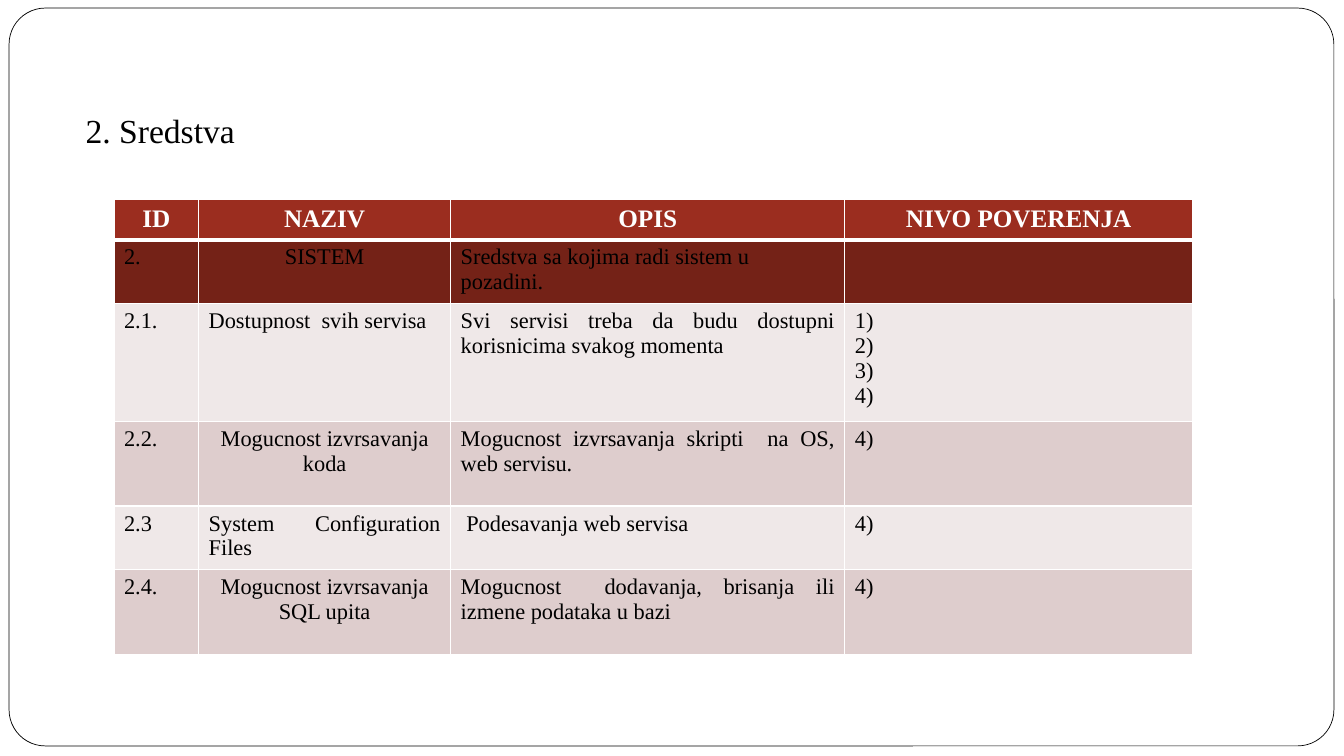
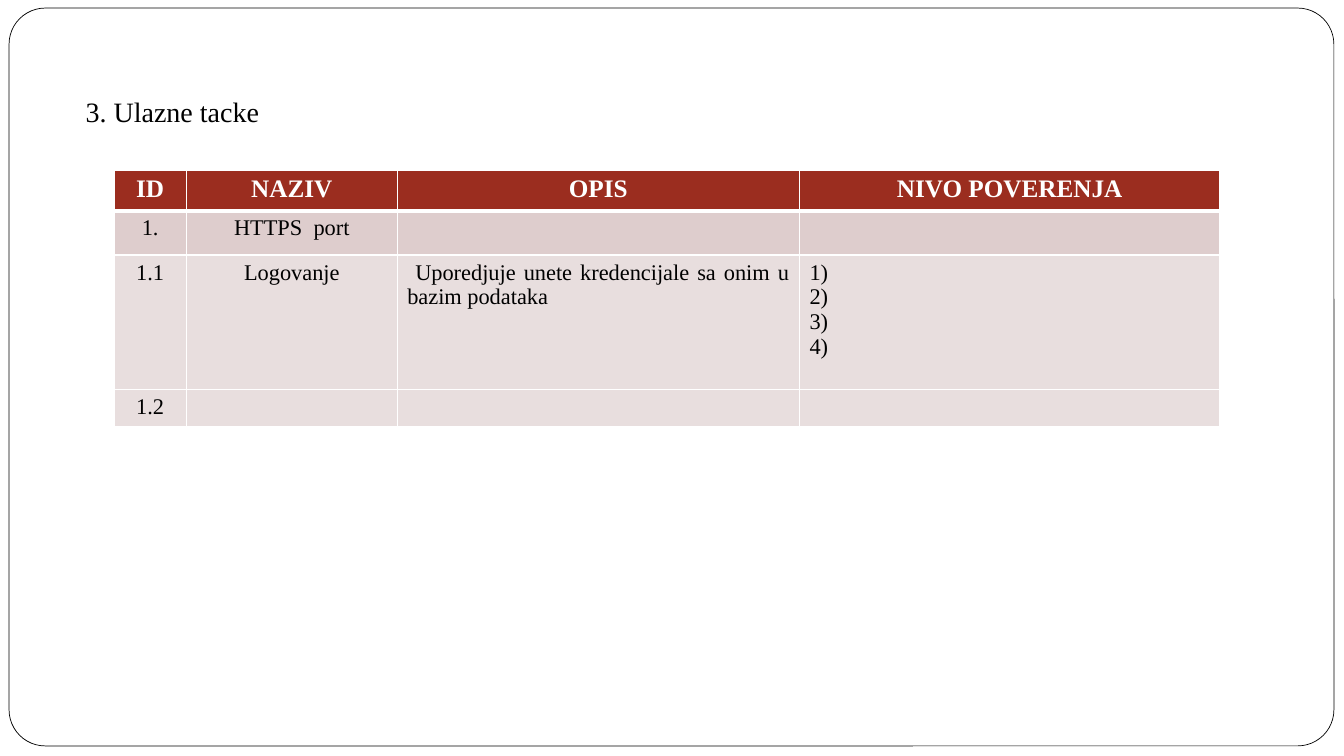
from lxml import etree
from pptx import Presentation
from pptx.dml.color import RGBColor
from pptx.enum.shapes import MSO_SHAPE
from pptx.enum.text import MSO_ANCHOR, PP_ALIGN
from pptx.oxml.ns import qn
from pptx.util import Inches, Pt

ROUNDED = MSO_SHAPE.ROUNDED_RECTANGLE
TOP = MSO_ANCHOR.TOP
LEFT, CENTER, JUSTIFY = PP_ALIGN.LEFT, PP_ALIGN.CENTER, PP_ALIGN.JUSTIFY

FONT = "Times New Roman"
HEADINGS = ["ID", "NAZIV", "OPIS", "NIVO POVERENJA"]
ALL_LEVELS = "1)\n2)\n3)\n4)"
COLORS = {
    "white": "FFFFFF",
    "black": "000000",
    "header": "9B2D1F",
    "section": "742217",
    "light": "EFE8E8",
    "medium": "E8DEDE",
    "dark": "DECDCD",
}

# Each row: height, fill, cells; a cell is a (text, alignment) pair
ASSETS = [
    (0.6, "section", [("2.", LEFT), ("SISTEM", CENTER),
                      ("Sredstva sa kojima radi sistem u pozadini.", LEFT), ("", LEFT)]),
    (1.08, "light", [("2.1.", LEFT), ("Dostupnost  svih servisa", LEFT),
                     ("Svi servisi treba da budu dostupni korisnicima svakog momenta", JUSTIFY),
                     (ALL_LEVELS, LEFT)]),
    (0.84, "dark", [("2.2.", LEFT), ("Mogucnost izvrsavanja koda", CENTER),
                    ("Mogucnost izvrsavanja skripti  na OS, web servisu.", JUSTIFY),
                    ("4)", LEFT)]),
    (0.6, "light", [("2.3", LEFT), ("System Configuration Files", JUSTIFY),
                    (" Podesavanja web servisa", JUSTIFY), ("4)", LEFT)]),
    (0.84, "dark", [("2.4.", LEFT), ("Mogucnost izvrsavanja SQL upita", CENTER),
                    ("Mogucnost  dodavanja, brisanja ili izmene podataka u bazi", JUSTIFY),
                    ("4)", LEFT)]),
]
ENTRY_POINTS = [
    (0.44, "dark", [("1.", CENTER), ("HTTPS  port", CENTER), ("", LEFT), ("", LEFT)]),
    (1.33, "medium", [("1.1", CENTER), ("Logovanje", CENTER),
                      (" Uporedjuje unete kredencijale sa onim u bazim podataka", JUSTIFY),
                      (ALL_LEVELS, LEFT)]),
    (0.35, "medium", [("1.2", CENTER), ("", LEFT), ("", LEFT), ("", LEFT)]),
]


def rgb(name):
    return RGBColor.from_string(COLORS[name])


def write(frame, text, size=16, color="black", bold=False, align=LEFT):
    """Fill a text frame, one paragraph per line of text."""
    frame.word_wrap = True
    for index, line in enumerate(text.split("\n")):
        paragraph = frame.add_paragraph() if index else frame.paragraphs[0]
        paragraph.alignment = align
        if not line:
            # An empty paragraph still sets the minimum row height
            etree.SubElement(paragraph._p, qn("a:endParaRPr"), sz=str(size * 100))
            continue
        run = paragraph.add_run()
        run.text = line
        run.font.name = FONT
        run.font.size = Pt(size)
        run.font.bold = bold
        run.font.color.rgb = rgb(color)


def add_frame(slide):
    frame = slide.shapes.add_shape(
        ROUNDED, Inches(0.09), Inches(0.08), Inches(13.14), Inches(7.32))
    frame.adjustments[0] = 0.049
    frame.shadow.inherit = False
    frame.fill.solid()
    frame.fill.fore_color.rgb = rgb("white")
    frame.line.color.rgb = rgb("black")
    frame.line.width = Pt(0.5)


def add_title(slide, text, top, size):
    title = slide.shapes.add_textbox(
        Inches(0.75), Inches(top), Inches(11.08), Inches(0.8)).text_frame
    title.vertical_anchor = TOP
    title.margin_top = Inches(0.08)
    write(title, text, size=size)


def set_borders(cell, top=1, bottom=1):
    properties = cell._tc.get_or_add_tcPr()
    for side, width in (("L", 1), ("R", 1), ("T", top), ("B", bottom)):
        line = etree.SubElement(properties, qn("a:ln" + side), w=str(Pt(width)))
        fill = etree.SubElement(line, qn("a:solidFill"))
        etree.SubElement(fill, qn("a:srgbClr"), val=COLORS["white"])


def add_grid(slide, top, widths, header_height, body):
    header = (header_height, "header", [(heading, CENTER) for heading in HEADINGS])
    rows = [header] + body
    height = sum(row[0] for row in rows)
    table = slide.shapes.add_table(
        len(rows), len(widths), Inches(1.13), Inches(top),
        Inches(sum(widths)), Inches(height)).table
    for column, width in zip(table.columns, widths):
        column.width = Inches(width)
    for r, (row_height, fill, cells) in enumerate(rows):
        table.rows[r].height = Inches(row_height)
        style = {} if r else {"size": 18, "color": "white", "bold": True}
        for c, (text, align) in enumerate(cells):
            cell = table.cell(r, c)
            # The rule under the header is thicker than the others
            set_borders(cell, top=3 if r == 1 else 1, bottom=3 if r == 0 else 1)
            cell.fill.solid()
            cell.fill.fore_color.rgb = rgb(fill)
            write(cell.text_frame, text, align=align, **style)


def add_slide(deck, title, title_top, title_size, **grid):
    slide = deck.slides.add_slide(deck.slide_layouts[6])
    add_frame(slide)
    add_title(slide, title, title_top, title_size)
    add_grid(slide, **grid)


def main():
    deck = Presentation()
    deck.slide_width = Inches(13.33)
    deck.slide_height = Inches(7.5)

    # Assets
    add_slide(deck, "2. Sredstva", 1.01, 24, top=1.98,
              widths=[0.84, 2.5, 3.91, 3.45], header_height=0.4, body=ASSETS)
    # Entry points
    add_slide(deck, "3. Ulazne tacke", 0.86, 20, top=1.69,
              widths=[0.72, 2.09, 3.99, 4.17], header_height=0.38, body=ENTRY_POINTS)

    deck.save("out.pptx")


if __name__ == "__main__":
    main()
